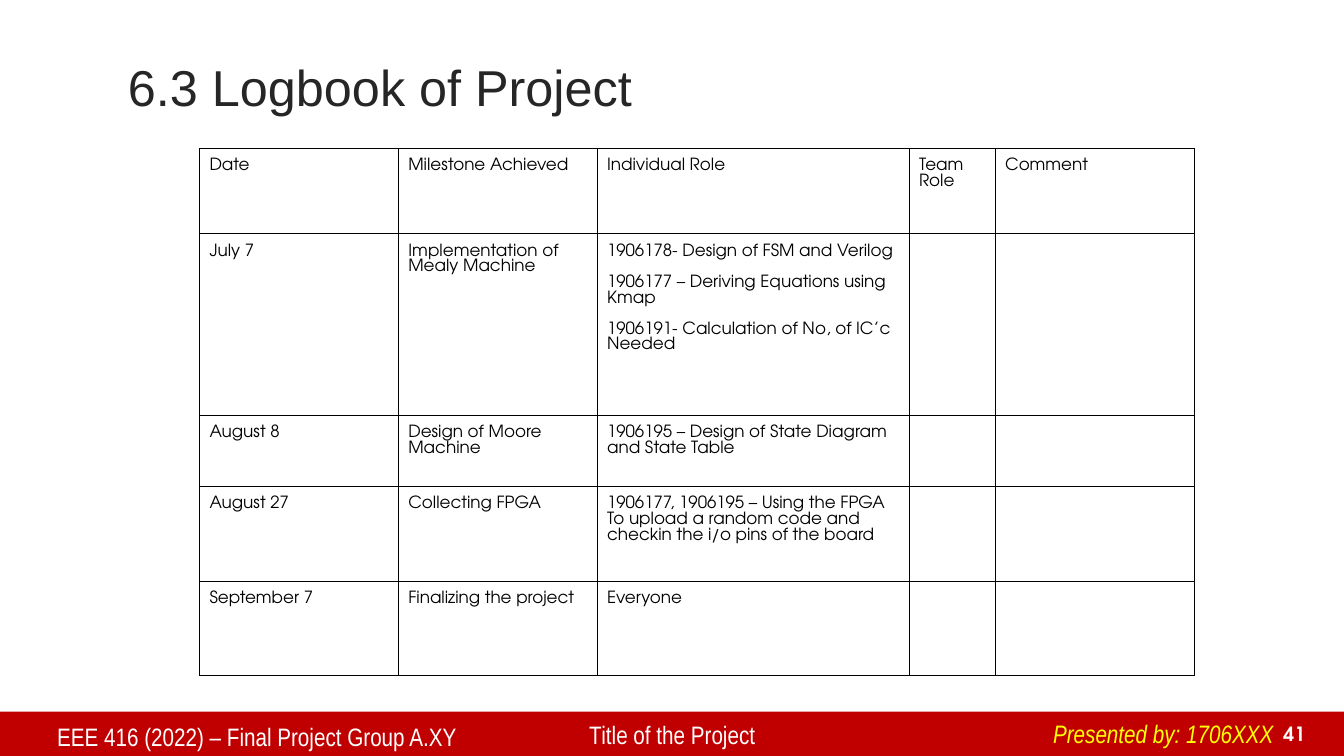
from lxml.etree import SubElement
from pptx import Presentation
from pptx.dml.color import RGBColor
from pptx.enum.shapes import MSO_SHAPE as Shape
from pptx.enum.text import MSO_ANCHOR as Anchor, PP_ALIGN as Align
from pptx.oxml.ns import qn
from pptx.util import Cm, Pt

RED = RGBColor(0xC0, 0x00, 0x00)
WHITE = RGBColor(0xFF, 0xFF, 0xFF)
YELLOW = RGBColor(0xFF, 0xFF, 0x00)
BLACK = RGBColor(0x00, 0x00, 0x00)
CHARCOAL = RGBColor(0x26, 0x26, 0x26)

COLUMN_WIDTHS = (5.01, 5.01, 7.86, 2.17, 5.01)
ROW_HEIGHTS = (2.15, 4.58, 1.79, 2.38, 2.38)
# One tuple per row; a cell with several paragraphs is split at line breaks.
LOGBOOK = (
    ("Date", "Milestone Achieved", "Individual Role", "Team Role", "Comment"),
    ("July 7", "Implementation of Mealy Machine",
     "1906178- Design of FSM and Verilog\n"
     "1906177 – Deriving Equations using Kmap\n"
     "1906191- Calculation of No, of IC’c Needed", "", ""),
    ("August 8", "Design of Moore Machine",
     "1906195 – Design of State Diagram and State Table", "", ""),
    ("August 27", "Collecting FPGA",
     "1906177, 1906195 – Using the FPGA\n"
     "To upload a random code and checkin the i/o pins of the board", "", ""),
    ("September 7", "Finalizing the project", "Everyone", "", ""),
)
SPACED_ROW = 1


class LogbookSlide:
    title_font = "Arial"
    footer_font = "Arial Narrow"
    body_font = "TeX Gyre Adventor"

    def __init__(self, prs):
        self.slide = prs.slides.add_slide(prs.slide_layouts[5])

    def style(self, paragraph, font, size, color, bold=False, italic=False):
        for run in paragraph.runs:
            run.font.name = font
            run.font.size = Pt(size)
            run.font.color.rgb = color
            run.font.bold = bold
            run.font.italic = italic

    def title(self, text, left, top, width, height):
        heading = self.slide.shapes.title
        heading.left, heading.top = Cm(left), Cm(top)
        heading.width, heading.height = Cm(width), Cm(height)
        frame = heading.text_frame
        frame.text = text
        frame.vertical_anchor = Anchor.MIDDLE
        paragraph = frame.paragraphs[0]
        paragraph.alignment = Align.LEFT
        paragraph.line_spacing = 0.9
        self.style(paragraph, self.title_font, 36, CHARCOAL)

    def bar(self, left, top, width, height):
        band = self.slide.shapes.add_shape(
            Shape.RECTANGLE, Cm(left), Cm(top), Cm(width), Cm(height))
        band.shadow.inherit = False
        band.fill.solid()
        band.fill.fore_color.rgb = RED
        band.line.fill.background()

    def label(self, text, left, top, width, height, font=footer_font, size=18,
              color=WHITE, bold=False, italic=False, align=Align.LEFT,
              anchor=Anchor.TOP, wrap=True):
        box = self.slide.shapes.add_textbox(Cm(left), Cm(top), Cm(width), Cm(height))
        frame = box.text_frame
        frame.word_wrap = wrap
        frame.vertical_anchor = anchor
        frame.text = text
        frame.paragraphs[0].alignment = align
        self.style(frame.paragraphs[0], font, size, color, bold, italic)

    def borders(self, cell):
        properties = cell._tc.get_or_add_tcPr()
        for side in ("lnL", "lnR", "lnT", "lnB"):
            line = SubElement(properties, qn(f"a:{side}"), w=str(Pt(0.75)))
            fill = SubElement(line, qn("a:solidFill"))
            SubElement(fill, qn("a:srgbClr"), val=str(BLACK))

    def table(self, rows, left, top):
        grid = self.slide.shapes.add_table(
            len(rows), len(COLUMN_WIDTHS), Cm(left), Cm(top),
            Cm(sum(COLUMN_WIDTHS)), Cm(sum(ROW_HEIGHTS))).table
        grid.first_row = grid.horz_banding = False
        for column, width in zip(grid.columns, COLUMN_WIDTHS):
            column.width = Cm(width)
        for row, height in zip(grid.rows, ROW_HEIGHTS):
            row.height = Cm(height)
        for r, entries in enumerate(rows):
            for c, entry in enumerate(entries):
                cell = grid.cell(r, c)
                self.borders(cell)
                cell.fill.background()
                cell.margin_left = cell.margin_right = Cm(0.25)
                cell.margin_top = cell.margin_bottom = Cm(0.25)
                cell.text_frame.text = entry
                for i, paragraph in enumerate(cell.text_frame.paragraphs):
                    if i and r == SPACED_ROW:
                        paragraph.space_before = Pt(11.2)
                    paragraph.font.size = Pt(12)
                    self.style(paragraph, self.body_font, 12, BLACK)


def main():
    prs = Presentation()
    prs.slide_width, prs.slide_height = Cm(33.87), Cm(19.05)
    page = LogbookSlide(prs)
    page.bar(0, 17.93, 33.87, 1.12)
    page.title("6.3 Logbook of Project", 2.97, 1.27, 27.94, 2.03)
    page.label("41", 31.7, 18.06, 1.45, 0.86, font=page.body_font, size=14,
               bold=True, align=Align.RIGHT, anchor=Anchor.BOTTOM)
    page.label("EEE 416 (2022) – Final Project Group A.XY", 1.19, 18.06, 13.41, 1.04)
    page.label("Title of the Project", 14.6, 18.01, 11, 1.04)
    page.label("Presented by: 1706XXX", 26.29, 17.98, 6.15, 1.02,
               color=YELLOW, italic=True, wrap=False)
    page.table(LOGBOOK, 5.03, 3.74)
    prs.save("out.pptx")


if __name__ == "__main__":
    main()
